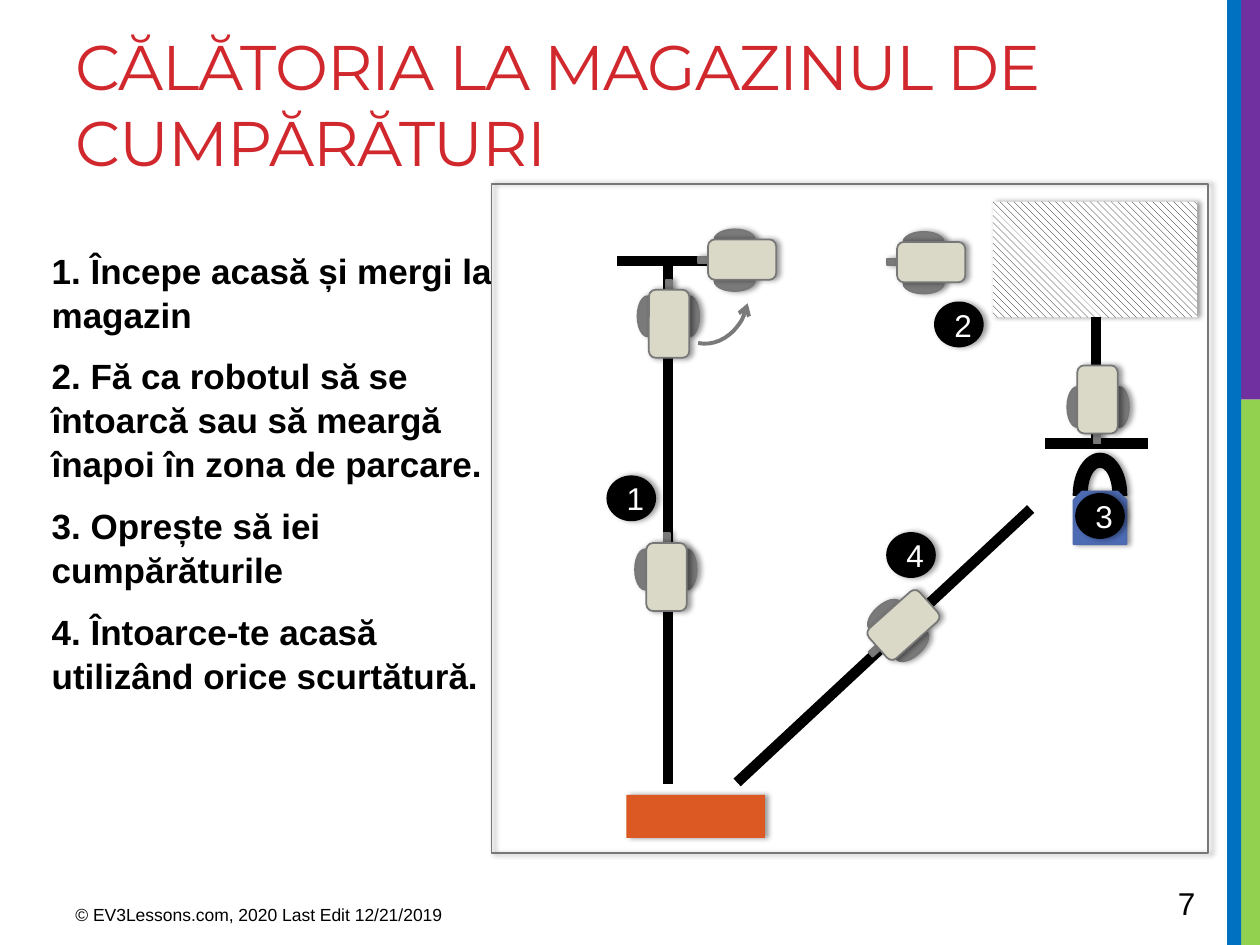
from math import cos, radians, sin

from lxml import etree
from pptx import Presentation
from pptx.dml.color import RGBColor
from pptx.enum.dml import MSO_PATTERN
from pptx.enum.shapes import MSO_CONNECTOR, MSO_SHAPE
from pptx.enum.text import MSO_ANCHOR, MSO_AUTO_SIZE, PP_ALIGN
from pptx.oxml import parse_xml
from pptx.oxml.ns import nsdecls, qn
from pptx.util import Inches, Pt

BLACK = RGBColor(0x00, 0x00, 0x00)
WHITE = RGBColor(0xFF, 0xFF, 0xFF)
RED = RGBColor(0xD1, 0x28, 0x2E)
BLUE = RGBColor(0x00, 0x70, 0xC0)
GREEN = RGBColor(0x92, 0xD0, 0x50)
PURPLE = RGBColor(0x70, 0x30, 0xA0)
OUTLINE = RGBColor(0x77, 0x77, 0x77)
GRAY = RGBColor(0x7A, 0x7A, 0x7A)
ROBOT_BODY = RGBColor(0xDA, 0xD9, 0xC8)
ORANGE = RGBColor(0xDC, 0x59, 0x24)
BAG_FILL = RGBColor(0x4D, 0x6B, 0xB5)
BAG_LINE = RGBColor(0x4E, 0x6A, 0xAE)

SHADOW = (
    f'<a:effectLst {nsdecls("a")}><a:outerShdw blurRad="39370" dist="22860" dir="0">'
    '<a:srgbClr val="000000"><a:alpha val="40000"/></a:srgbClr>'
    "</a:outerShdw></a:effectLst>"
)


def add_part(shapes, preset, box, fill=None, line=None, shadow=True, width=1):
    part = shapes.add_shape(preset, *[Inches(v) for v in box])
    part.shadow.inherit = False
    if fill is None:
        part.fill.background()
    else:
        part.fill.solid()
        part.fill.fore_color.rgb = fill
    if line is None:
        part.line.fill.background()
    else:
        part.line.color.rgb = line
        part.line.width = Pt(width)
    if shadow:
        properties = part._element.spPr
        properties.replace(properties.find(qn("a:effectLst")), parse_xml(SHADOW))
    return part


def add_run(paragraph, text, size, color, font="Arial", bold=False):
    run = paragraph.add_run()
    run.text = text
    run.font.size = Pt(size)
    run.font.name = font
    run.font.bold = bold
    run.font.color.rgb = color
    return run


prs = Presentation()
prs.slide_width, prs.slide_height = Inches(10), Inches(7.5)
slide = prs.slides.add_slide(prs.slide_layouts[1])
shapes = slide.shapes

# Side bars and map frame
for box, color in [
    ((9.74, 0, 0.1, 7.5), BLUE),
    ((9.84, 3.17, 0.16, 4.33), GREEN),
    ((9.8, 0, 0.2, 3.17), PURPLE),
    ((9.75, 0, 0.1, 7.5), BLUE),
]:
    add_part(shapes, MSO_SHAPE.RECTANGLE, box, color, shadow=False)
add_part(shapes, MSO_SHAPE.RECTANGLE, (3.9, 1.46, 5.69, 5.31), line=OUTLINE)

# Title and steps
title, steps = shapes.title, slide.placeholders[1]
for holder, box in [(title, (0.5, 0.17, 9.02, 1.5)), (steps, (0.31, 1.91, 3.78, 4.37))]:
    holder.left, holder.top, holder.width, holder.height = [Inches(v) for v in box]
    holder.text_frame.word_wrap = True
    holder.text_frame.auto_size = MSO_AUTO_SIZE.NONE
    holder.text_frame.vertical_anchor = MSO_ANCHOR.TOP
heading = title.text_frame.paragraphs[0]
heading.alignment = PP_ALIGN.LEFT
heading_run = add_run(heading, "CĂLĂTORIA LA MAGAZINUL DE CUMPĂRĂTURI", 36, RED, "Montserrat")
heading_run.font._element.set("spc", "-60")

for index, step in enumerate([
    "1. Începe acasă și mergi la magazin",
    "2. Fă ca robotul să se întoarcă sau să meargă înapoi în zona de parcare.",
    "3. Oprește să iei cumpărăturile",
    "4. Întoarce-te acasă utilizând orice scurtătură.",
]):
    frame = steps.text_frame
    paragraph = frame.add_paragraph() if index else frame.paragraphs[0]
    properties = paragraph._p.get_or_add_pPr()
    properties.set("marL", "0")
    properties.set("indent", "0")
    etree.SubElement(properties, qn("a:buNone"))
    paragraph.line_spacing = 1.05
    paragraph.space_before = Pt(4 if index else 0)
    paragraph.space_after = Pt(6)
    add_run(paragraph, step, 20, BLACK, bold=True)

# Footer and page number
for box, text, size in [
    ((0.5, 7.1, 3.75, 0.31), "© EV3Lessons.com, 2020 Last Edit 12/21/2019", 10),
    ((9.25, 6.97, 0.69, 0.4), "7", 18),
]:
    frame = shapes.add_textbox(*[Inches(v) for v in box]).text_frame
    frame.word_wrap = True
    frame.vertical_anchor = MSO_ANCHOR.MIDDLE
    add_run(frame.paragraphs[0], text, size, BLACK)

# Parking area, home and grocery bag
parking = add_part(shapes, MSO_SHAPE.RECTANGLE, (8.23, 1.25, 0.92, 1.62), WHITE)
parking.rotation = 90
parking.fill.patterned()
parking.fill.pattern = MSO_PATTERN.WIDE_DOWNWARD_DIAGONAL
parking.fill.fore_color.rgb = BLACK
parking.fill.back_color.rgb = WHITE
home = add_part(shapes, MSO_SHAPE.RECTANGLE, (5.35, 5.93, 0.34, 1.1), ORANGE)
home.rotation = 90
bag = shapes.add_group_shape().shapes
add_part(bag, MSO_SHAPE.BLOCK_ARC, (8.52, 3.6, 0.42, 0.66), BLACK, BLACK)
add_part(bag, MSO_SHAPE.SNIP_2_SAME_RECTANGLE, (8.52, 3.9, 0.42, 0.42), BAG_FILL, BAG_LINE)

# Road lines
for ends in [
    (5.3, 6.22, 5.3, 2.07),
    (8.7, 3.52, 8.7, 2.52),
    (5.85, 6.21, 8.18, 4.04),
    (9.11, 3.52, 8.29, 3.52),
    (5.71, 2.07, 4.9, 2.07),
]:
    road = shapes.add_connector(MSO_CONNECTOR.STRAIGHT, *[Inches(v) for v in ends])
    road.line.color.rgb = BLACK
    road.line.width = Pt(6)
    etree.SubElement(road._element.spPr, qn("a:effectLst"))

# Robots: each part is offset from the body centre, then turned with the robot
ROBOT_PARTS = [
    (MSO_SHAPE.OVAL, -0.17, -0.06, 0.16, 0.32, GRAY),
    (MSO_SHAPE.OVAL, 0.16, -0.06, 0.16, 0.32, GRAY),
    (MSO_SHAPE.RECTANGLE, 0, -0.28, 0.05, 0.14, GRAY),
    (MSO_SHAPE.ROUNDED_RECTANGLE, 0, 0, 0.32, 0.54, ROBOT_BODY),
]
for center_x, center_y, angle in [
    (5.29, 4.58, 0),
    (7.39, 2.08, 270),
    (8.71, 3.17, 180),
    (7.17, 4.96, 228.2),
    (5.89, 2.06, 270),
    (5.31, 2.57, 0),
]:
    robot = shapes.add_group_shape().shapes
    turn = radians(angle)
    for preset, dx, dy, width, height, color in ROBOT_PARTS:
        left = center_x + dx * cos(turn) - dy * sin(turn) - width / 2
        top = center_y + dx * sin(turn) + dy * cos(turn) - height / 2
        part = add_part(robot, preset, (left, top, width, height), color, OUTLINE)
        part.rotation = angle

# Numbered stops
for number, left, top in [("2", 7.42, 2.4), ("1", 4.82, 3.78), ("3", 8.54, 3.92), ("4", 7.04, 4.23)]:
    stop = add_part(shapes, MSO_SHAPE.OVAL, (left, top, 0.38, 0.35), BLACK, BLACK)
    stop.text_frame.vertical_anchor = MSO_ANCHOR.MIDDLE
    label = stop.text_frame.paragraphs[0]
    label.alignment = PP_ALIGN.CENTER
    add_run(label, number, 18, WHITE)

# Turn arrow
turn_arrow = add_part(shapes, MSO_SHAPE.ARC, (5.23, 2.02, 0.77, 0.65), line=GRAY, shadow=False, width=2.25)
turn_arrow.rotation = 101.1
etree.SubElement(turn_arrow.line._get_or_add_ln(), qn("a:headEnd"), type="arrow")

prs.save("out.pptx")
